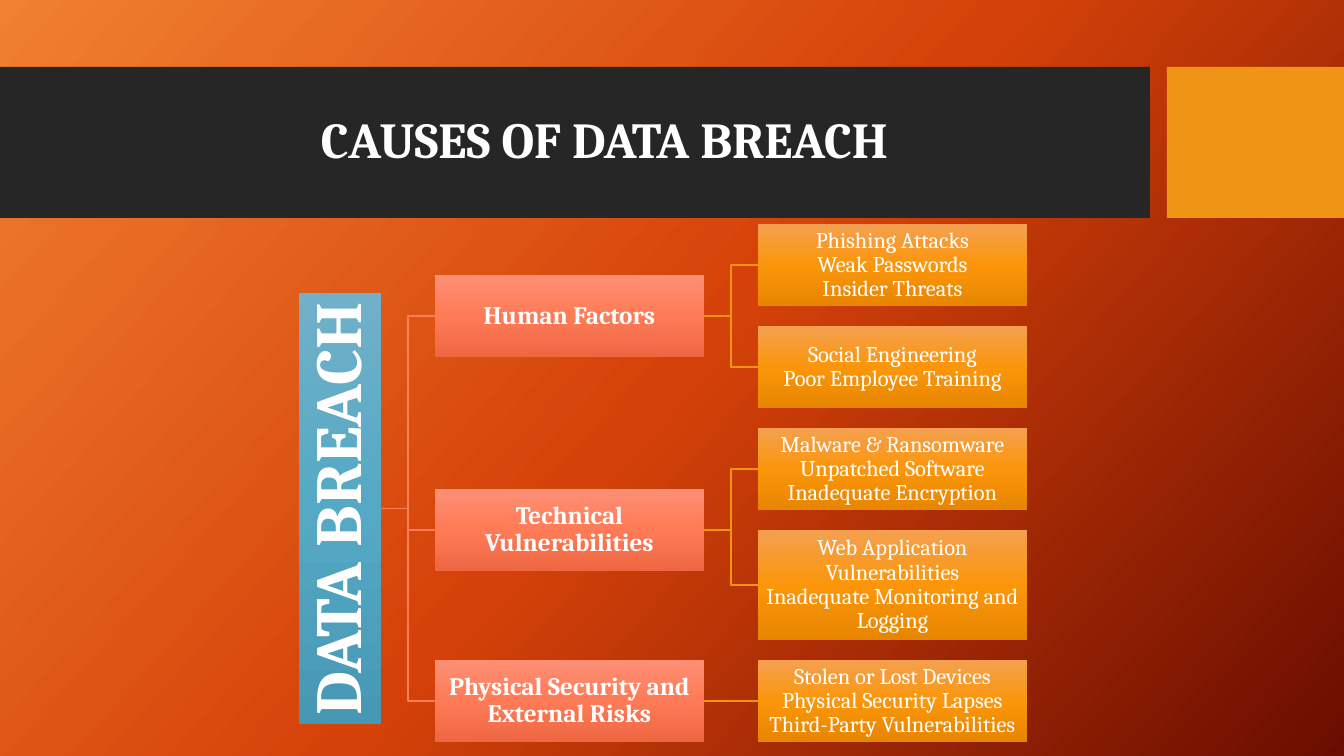
from dataclasses import dataclass

from lxml.etree import SubElement
from pptx import Presentation
from pptx.dml.color import RGBColor
from pptx.enum.shapes import MSO_CONNECTOR, MSO_SHAPE
from pptx.enum.text import MSO_ANCHOR, PP_ALIGN
from pptx.oxml.ns import qn
from pptx.util import Pt

SLIDE_WIDTH, SLIDE_HEIGHT = 1344, 756
PX = 12192000 / SLIDE_WIDTH


@dataclass(frozen=True)
class Theme:
    font: str = "Cambria"
    text: str = "FFFFFF"
    band: str = "262626"
    accent: str = "F09415"
    cause_line: str = "FA7E5C"
    backdrop: tuple = ("F18031", "D54209", "6A0D00")
    root: tuple = ("71B0C8", "55A9C5", "4798B4")
    cause: tuple = ("FD8F75", "FF7B57", "EE6742")
    detail: tuple = ("F4A050", "FB960A", "E88600")
    title_size: int = 36
    root_size: int = 47
    cause_size: int = 18
    detail_size: int = 16


THEME = Theme()

# Each cause: name, top of its box, then the groups of details beside it
CAUSES = [
    ("Human Factors", 275, [
        ["Phishing Attacks", "Weak Passwords", "Insider Threats"],
        ["Social Engineering", "Poor Employee Training"],
    ]),
    ("Technical Vulnerabilities", 489, [
        ["Malware & Ransomware", "Unpatched Software", "Inadequate Encryption"],
        ["Web Application Vulnerabilities", "Inadequate Monitoring and Logging"],
    ]),
    ("Physical Security and External Risks", 660, [
        ["Stolen or Lost Devices", "Physical Security Lapses",
         "Third-Party Vulnerabilities"],
    ]),
]
TALL_DETAIL = "Web Application Vulnerabilities"


def px(length):
    return round(length * PX)


def paint_gradient(fill, owner, colours, angle):
    """Spread the colours evenly, clockwise angle, unaffected by rotation."""
    fill.gradient()
    fill.gradient_angle = 360 - angle
    stops = next(owner.iter(qn("a:gsLst")))
    stops.getparent().set("rotWithShape", "0")
    stops.clear()
    for index, colour in enumerate(colours):
        position = 100000 * index // (len(colours) - 1)
        stop = SubElement(stops, qn("a:gs"), pos=str(position))
        SubElement(stop, qn("a:srgbClr"), val=colour)


def write(shape, lines, size, bold, inset):
    frame = shape.text_frame
    frame.word_wrap = True
    frame.vertical_anchor = MSO_ANCHOR.MIDDLE
    frame.margin_left = frame.margin_right = px(inset)
    frame.margin_top = frame.margin_bottom = px(inset)
    for index, line in enumerate(lines):
        para = frame.add_paragraph() if index else frame.paragraphs[0]
        para.alignment = PP_ALIGN.CENTER
        para.line_spacing = 0.9
        span = para.add_run()
        span.text = line
        span.font.name = THEME.font
        span.font.size = Pt(size)
        span.font.bold = bold
        span.font.color.rgb = RGBColor.from_string(THEME.text)


def add_box(page, left, top, width, height, paint):
    """Add a rectangle; paint is one colour or a tuple of gradient colours."""
    box = page.shapes.add_shape(
        MSO_SHAPE.RECTANGLE, px(left), px(top), px(width), px(height))
    box.shadow.inherit = False
    box.line.fill.background()
    if isinstance(paint, tuple):
        paint_gradient(box.fill, box.element, paint, 90)
    else:
        box.fill.solid()
        box.fill.fore_color.rgb = RGBColor.from_string(paint)
    return box


def add_branch(page, start, end, colour):
    (left, start_y), (right, end_y) = start, end
    if start_y == end_y:
        branch = page.shapes.add_connector(
            MSO_CONNECTOR.STRAIGHT, px(left), px(start_y), px(right), px(end_y))
        SubElement(branch.element.spPr, qn("a:effectLst"))
    else:
        middle = (left + right) / 2
        outline = page.shapes.build_freeform(px(left), px(start_y), scale=1.0)
        corners = [(middle, start_y), (middle, end_y), (right, end_y)]
        outline.add_line_segments([(px(x), px(y)) for x, y in corners], close=False)
        branch = outline.convert_to_shape()
        branch.shadow.inherit = False
        branch.fill.background()
    branch.line.color.rgb = RGBColor.from_string(colour)
    branch.line.width = Pt(1)


def add_header(page, left, top, width, height):
    band_width, square_width = 1150, 177
    add_box(page, left, top, band_width, height, THEME.band)
    add_box(page, left + width - square_width, top, square_width, height, THEME.accent)
    title = page.shapes.add_textbox(px(left + 75), px(top + 16), px(1059), px(119))
    write(title, ["CAUSES OF DATA BREACH"], THEME.title_size, True, 5)


def add_cause_tree(page, left, top):
    bar_width, bar_height = 82, 431
    node_width, node_height, tall_height = 269, 82, 110
    column_gap, row_gap = 54, 20
    bar_right = left + bar_width
    cause_left = bar_right + column_gap
    cause_right = cause_left + node_width
    detail_left = cause_right + column_gap
    cause_middles = [cause_top + node_height / 2 for _, cause_top, _ in CAUSES]
    bar_middle = (cause_middles[0] + cause_middles[-1]) / 2

    bar = add_box(page, left + (bar_width - bar_height) / 2,
                  bar_middle - bar_width / 2, bar_height, bar_width, THEME.root)
    bar.rotation = 270
    write(bar, ["DATA BREACH"], THEME.root_size, True, 3)

    detail_top = top
    for (name, cause_top, details), middle in zip(CAUSES, cause_middles):
        add_branch(page, (bar_right, bar_middle), (cause_left, middle),
                   THEME.cause_line)
        cause = add_box(page, cause_left, cause_top, node_width, node_height,
                        THEME.cause)
        write(cause, [name], THEME.cause_size, True, 1)
        for lines in details:
            height = tall_height if TALL_DETAIL in lines else node_height
            add_branch(page, (cause_right, middle),
                       (detail_left, detail_top + height / 2), THEME.accent)
            detail = add_box(page, detail_left, detail_top, node_width, height,
                             THEME.detail)
            write(detail, lines, THEME.detail_size, False, 1)
            detail_top += height + row_gap


def main():
    deck = Presentation()
    deck.slide_width, deck.slide_height = px(SLIDE_WIDTH), px(SLIDE_HEIGHT)
    page = deck.slides.add_slide(deck.slide_layouts[6])
    paint_gradient(page.background.fill, page.element, THEME.backdrop, 42)
    add_header(page, 0, 67, SLIDE_WIDTH, 151)
    add_cause_tree(page, 299, 224)
    deck.save("out.pptx")


if __name__ == "__main__":
    main()
